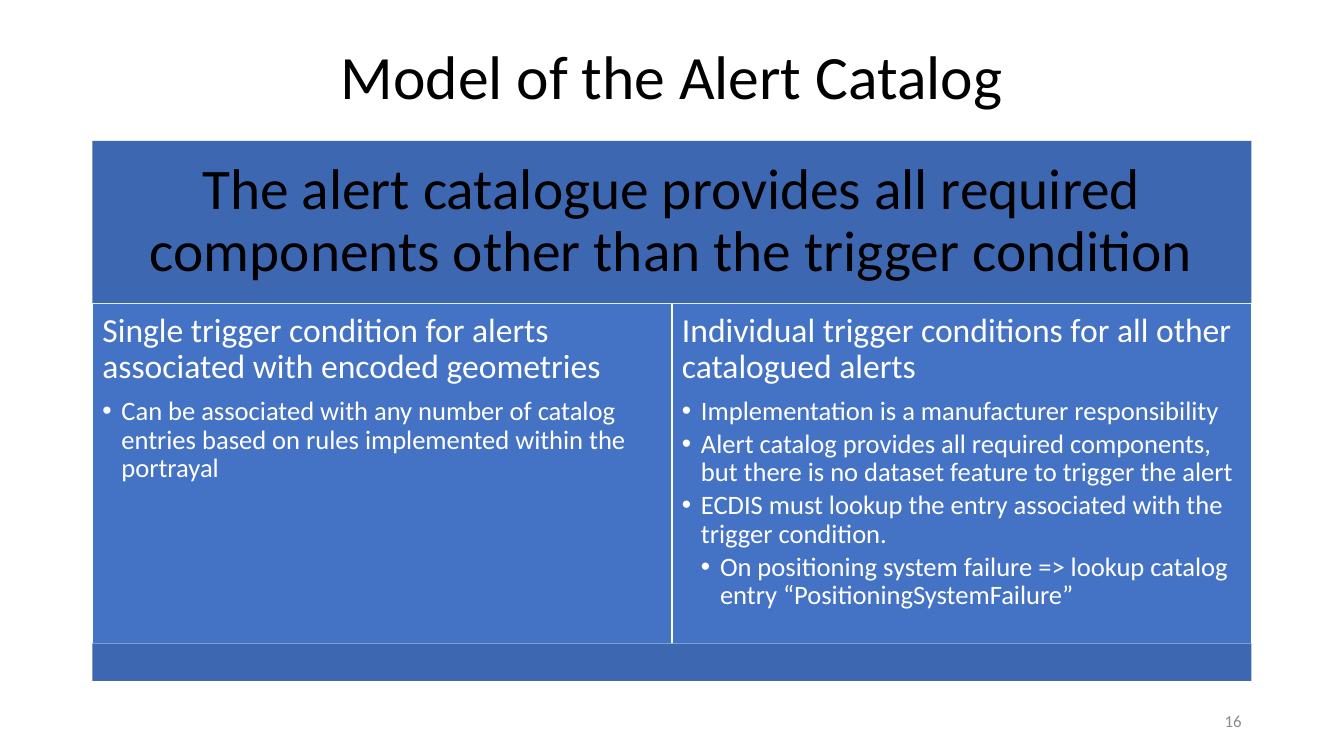
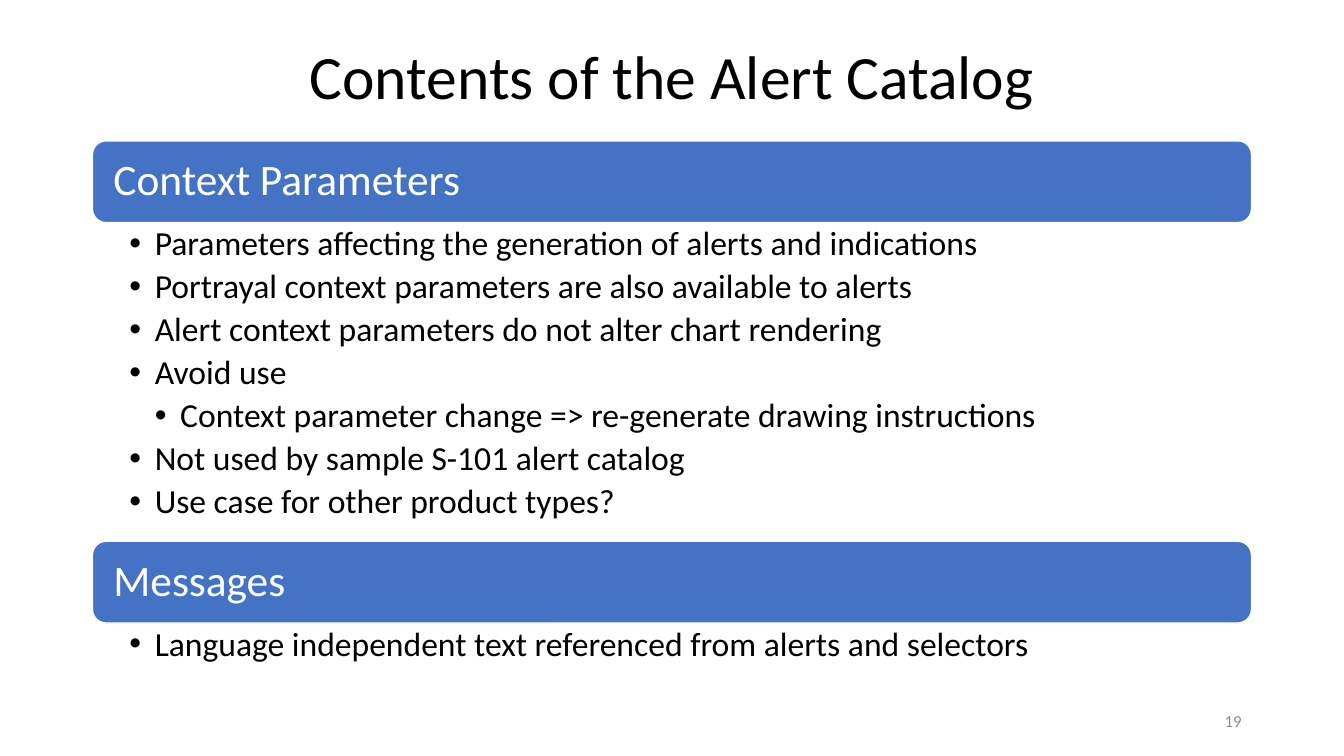
from dataclasses import dataclass

from lxml import etree
from pptx import Presentation
from pptx.dml.color import RGBColor
from pptx.enum.shapes import MSO_SHAPE
from pptx.enum.text import MSO_ANCHOR, MSO_AUTO_SIZE, PP_ALIGN
from pptx.oxml.ns import qn
from pptx.util import Cm, Pt

RECT, ROUNDED = MSO_SHAPE.RECTANGLE, MSO_SHAPE.ROUNDED_RECTANGLE
TOP, MIDDLE = MSO_ANCHOR.TOP, MSO_ANCHOR.MIDDLE
LEFT, CENTER, RIGHT = PP_ALIGN.LEFT, PP_ALIGN.CENTER, PP_ALIGN.RIGHT

# Content: lists hold (level, text); level 0 is a heading without a bullet.
MODEL = {
    "title": "Model of the Alert Catalog",
    "number": "16",
    "banner": "The alert catalogue provides all required components "
              "other than the trigger condition",
    "columns": [
        [(0, "Single trigger condition for alerts associated with encoded geometries"),
         (1, "Can be associated with any number of catalog entries based on rules "
             "implemented within the portrayal")],
        [(0, "Individual trigger conditions for all other catalogued alerts"),
         (1, "Implementation is a manufacturer responsibility"),
         (1, "Alert catalog provides all required components, but there is no "
             "dataset feature to trigger the alert"),
         (1, "ECDIS must lookup the entry associated with the trigger condition."),
         (2, "On positioning system failure => lookup catalog entry "
             "“PositioningSystemFailure”")],
    ],
}
CONTENTS = {
    "title": "Contents of the Alert Catalog",
    "number": "19",
    "sections": [
        ("Context Parameters", 8.03,
         [(1, "Parameters affecting the generation of alerts and indications"),
          (1, "Portrayal context parameters are also available to alerts"),
          (1, "Alert context parameters do not alter chart rendering"),
          (1, "Avoid use"),
          (2, "Context parameter change => re-generate drawing instructions"),
          (1, "Not used by sample S-101 alert catalog"),
          (1, "Use case for other product types?")]),
        ("Messages", 1.42,
         [(1, "Language independent text referenced from alerts and selectors")]),
    ],
}


@dataclass(frozen=True)
class Theme:
    font: str = "Calibri"
    black: RGBColor = RGBColor(0x00, 0x00, 0x00)
    white: RGBColor = RGBColor(0xFF, 0xFF, 0xFF)
    grey: RGBColor = RGBColor(0x8C, 0x8C, 0x8C)
    blue: RGBColor = RGBColor(0x44, 0x72, 0xC4)
    dark_blue: RGBColor = RGBColor(0x3E, 0x67, 0xB2)
    title: int = 44
    banner: int = 41
    section: int = 31
    heading: int = 24
    bullet: int = 24
    column_bullet: int = 19
    number: int = 12


THEME = Theme()
SLIDE_WIDTH, SLIDE_HEIGHT = 33.87, 19.05
MARGIN = 2.33
CONTENT_WIDTH = 29.21
CONTENT_TOP = 3.55
TWO_CONTENT = 3


def set_bullet(paragraph, level, step):
    """Give the paragraph a hanging bullet, or none at level 0."""
    props = paragraph._p.get_or_add_pPr()
    props.set("marL", str(Cm(step * level)))
    props.set("indent", str(-Cm(step) if level else 0))
    if level:
        etree.SubElement(props, qn("a:buFont")).set("typeface", "Arial")
        etree.SubElement(props, qn("a:buChar")).set("char", "•")
    else:
        etree.SubElement(props, qn("a:buNone"))


def write(shape, items, *, size, color, heading_size=None, align=LEFT, anchor=MIDDLE,
          insets=(0.25, 0.13, 0.25, 0.13), step=0.0, line_spacing=0.9, after=0.0):
    """Fill a shape with (level, text) items; after is a share of the type size."""
    frame = shape.text_frame
    frame.word_wrap = True
    frame.auto_size = MSO_AUTO_SIZE.NONE
    frame.vertical_anchor = anchor
    (frame.margin_left, frame.margin_top,
     frame.margin_right, frame.margin_bottom) = map(Cm, insets)
    for index, (level, text) in enumerate(items):
        paragraph = frame.add_paragraph() if index else frame.paragraphs[0]
        is_heading = heading_size and level == 0
        points = heading_size if is_heading else size
        share = 0.35 if is_heading else after
        paragraph.level = level
        set_bullet(paragraph, level, step)
        paragraph.alignment = align
        paragraph.line_spacing = line_spacing
        paragraph.space_before = Pt(0)
        paragraph.space_after = Pt(round(points * share, 1))
        run = paragraph.add_run()
        run.text = text
        run.font.size = Pt(points)
        run.font.name = THEME.font
        run.font.color.rgb = color


def place(shape, left, top, width, height):
    shape.left, shape.top = Cm(left), Cm(top)
    shape.width, shape.height = Cm(width), Cm(height)


def paint(shape, fill, outline=None):
    shape.fill.solid()
    shape.fill.fore_color.rgb = fill
    if outline is None:
        shape.line.fill.background()
    else:
        shape.line.color.rgb = outline
        shape.line.width = Pt(1)


def add_band(slide, kind, top, height, fill, outline=None):
    """Add a full-width coloured bar."""
    band = slide.shapes.add_shape(kind, Cm(MARGIN), Cm(top), Cm(CONTENT_WIDTH), Cm(height))
    band.shadow.inherit = False
    paint(band, fill, outline)
    return band


def start_slide(deck, content):
    """Add a slide with its title and number; return it with its two list bodies."""
    slide = deck.slides.add_slide(deck.slide_layouts[TWO_CONTENT])
    title, *bodies = slide.placeholders
    place(title, MARGIN, 1.01, CONTENT_WIDTH, 2.01)
    write(title, [(0, content["title"])], size=THEME.title, color=THEME.black, align=CENTER)
    number_width = 7.62
    number = slide.shapes.add_textbox(Cm(MARGIN + CONTENT_WIDTH - number_width), Cm(17.65),
                                      Cm(number_width), Cm(1.01))
    write(number, [(0, content["number"])], size=THEME.number, color=THEME.grey,
          align=RIGHT, line_spacing=1.0)
    return slide, bodies


def build_model(deck, content):
    slide, bodies = start_slide(deck, content)
    banner_height, column_height, base_height = 4.09, 8.57, 0.95
    column_top = CONTENT_TOP + banner_height
    banner = add_band(slide, RECT, CONTENT_TOP, banner_height, THEME.dark_blue)
    write(banner, [(0, content["banner"])], size=THEME.banner, color=THEME.black,
          align=CENTER, insets=(0.43,) * 4)
    column_width = CONTENT_WIDTH / len(content["columns"])
    for index, (body, items) in enumerate(zip(bodies, content["columns"])):
        place(body, MARGIN + index * column_width, column_top, column_width, column_height)
        paint(body, THEME.blue, THEME.white)
        write(body, items, size=THEME.column_bullet, heading_size=THEME.heading,
              color=THEME.white, anchor=TOP, insets=(0.25,) * 4, step=0.48, after=0.15)
    add_band(slide, RECT, column_top + column_height, base_height, THEME.dark_blue)


def build_contents(deck, content):
    slide, bodies = start_slide(deck, content)
    header_height = 2.06
    top = CONTENT_TOP
    for body, (heading, list_height, items) in zip(bodies, content["sections"]):
        header = add_band(slide, ROUNDED, top, header_height, THEME.blue, THEME.white)
        write(header, [(0, heading)], size=THEME.section, color=THEME.white,
              insets=(0.43,) * 4)
        top += header_height
        place(body, MARGIN, top, CONTENT_WIDTH, list_height)
        write(body, items, size=THEME.bullet, color=THEME.black, anchor=TOP,
              insets=(0.93, 0.1, 0.62, 0.1), step=0.64, after=0.2)
        top += list_height


def main():
    deck = Presentation()
    deck.slide_width, deck.slide_height = Cm(SLIDE_WIDTH), Cm(SLIDE_HEIGHT)
    build_model(deck, MODEL)
    build_contents(deck, CONTENTS)
    deck.save("out.pptx")


if __name__ == "__main__":
    main()
